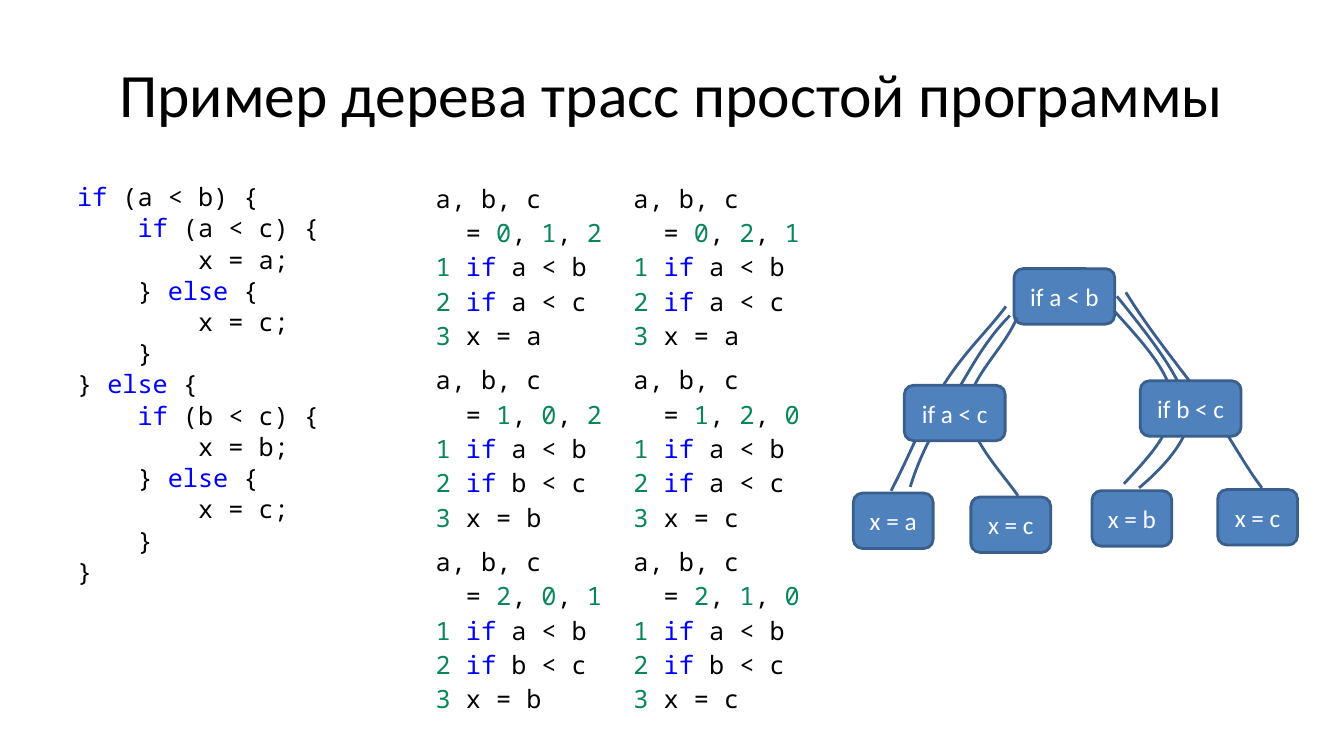
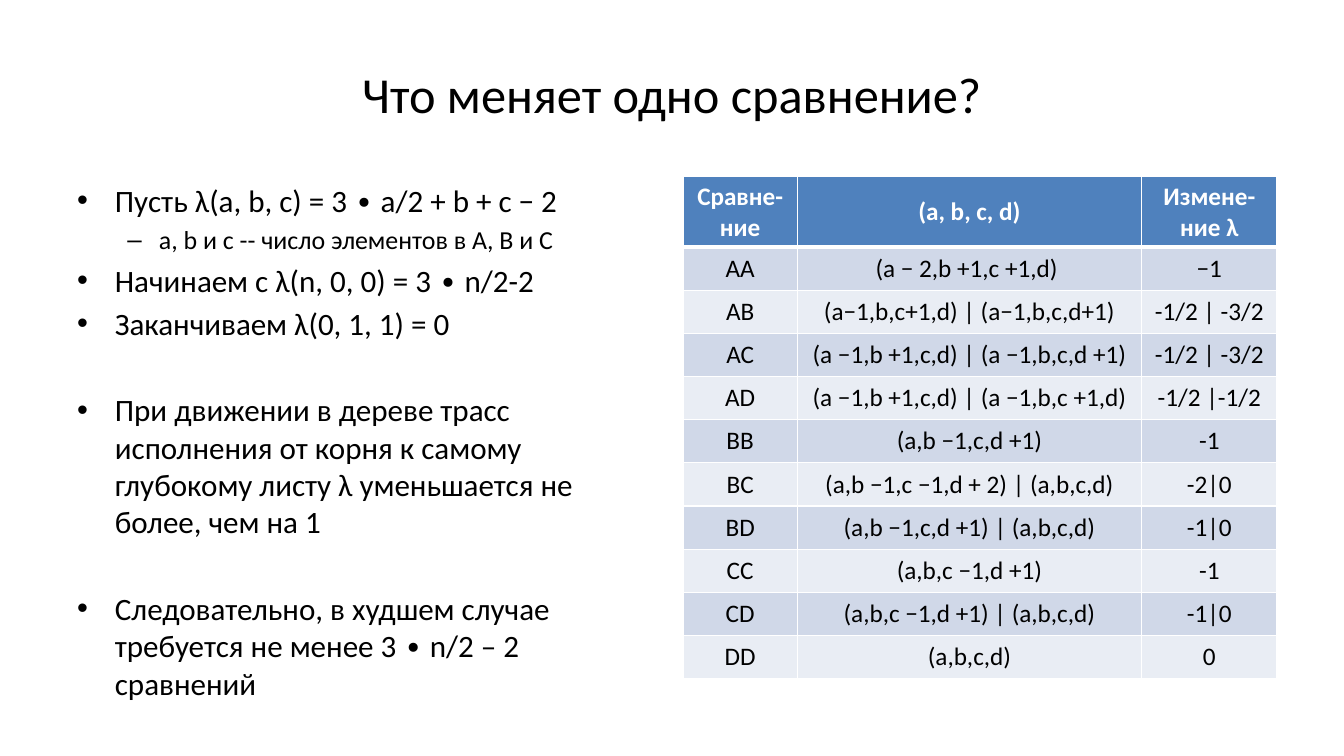
from itertools import groupby

from lxml import etree
from pptx import Presentation
from pptx.dml.color import RGBColor
from pptx.enum import shapes, text
from pptx.oxml import ns
from pptx.util import Pt

BLACK = RGBColor(0x00, 0x00, 0x00)
WHITE = RGBColor(0xFF, 0xFF, 0xFF)
KEYWORD = RGBColor(0x00, 0x00, 0xFF)
NUMBER = RGBColor(0x09, 0x86, 0x58)
ACCENT = RGBColor(0x4F, 0x81, 0xBD)
OUTLINE = RGBColor(0x3A, 0x5F, 0x8C)
BANDS = RGBColor(0xD0, 0xD8, 0xE8), RGBColor(0xE9, 0xED, 0xF4)
SANS, MONO = "Calibri", "Noto Sans Mono"
CENTER, MIDDLE = text.PP_ALIGN.CENTER, text.MSO_ANCHOR.MIDDLE
CONTENT_TOP = 126
BODY = (48, CONTENT_TOP, 424, 356.4)

# Slide 1 content
PROGRAM = """if (a < b) {
    if (a < c) {
        x = a;
    } else {
        x = c;
    }
} else {
    if (b < c) {
        x = b;
    } else {
        x = c;
    }
}""".split("\n")

# Input values, second comparison, result
TRACES = [
    [("0, 1, 2", "a < c", "a"), ("0, 2, 1", "a < c", "a")],
    [("1, 0, 2", "b < c", "b"), ("1, 2, 0", "a < c", "с")],
    [("2, 0, 1", "b < c", "b"), ("2, 1, 0", "b < c", "c")],
]
TRACE_COLUMN, TRACE_ROW = 141.3, 129.7

# Label, left, top, width
OUTER_NODES = [
    ("if a < b", 724.3, 191.9, 72),
    ("x = a", 609.5, 352.2, 57),
    ("x = c", 869.8, 349.7, 57),
    ("x = b", 780, 350.5, 57),
    ("x = c", 693.5, 355, 57),
]
INNER_NODES = [("if b < c", 814.5, 272, 72), ("if a < c", 646, 275.2, 72)]
NODE_HEIGHT = 39.6

# Each path through the tree: a start point, then cubic curves of three points
PATHS = [
    [(718.6, 218.9), (706.3, 235.4), (689.8, 250.6), (675.4, 272.9),
     (661.7, 294.5), (650.9, 323.3), (636.5, 350.6)],
    [(721.4, 225.4), (703.4, 243.4), (693.4, 263.5), (681.1, 283.7),
     (669.6, 303.8), (658.1, 321.8), (650.2, 347.8)],
    [(797.8, 211.7), (822.2, 241.9), (846.7, 272.9), (848.9, 295.2),
     (851.8, 318.2), (813.6, 348.5), (813.6, 348.5)],
    [(804.2, 208.8), (822.2, 238.3), (848.2, 269.3), (864.7, 292.3),
     (880.6, 315.4), (889.2, 332.6), (901.4, 348.5)],
    [(795.6, 221.8), (815.8, 244.1), (836.6, 266.4), (837.4, 286.6),
     (838.8, 307.4), (820.8, 326.2), (802.8, 345.6)],
    [(726.5, 226.8), (717.1, 249.8), (691.2, 270.7), (691.9, 292.3),
     (691.9, 313.2), (715.7, 337.7), (727.2, 354.2)],
]

# Slide 2 content: level, space before, text
POINTS = [
    (0, 0, "Пусть λ(a, b, c) = 3 ∙ a/2 + b + c − 2"),
    (1, 3.8, "a, b и c -- число элементов в A, B и C"),
    (0, 4.2, "Начинаем с λ(n, 0, 0) = 3 ∙ n/2-2"),
    (0, 4.2, "Заканчиваем λ(0, 1, 1) = 0"),
    (0, 35.3, "При движении в дереве трасс исполнения от корня к самому "
              "глубокому листу λ уменьшается не более, чем на 1"),
    (0, 35.3, "Следовательно, в худшем случае требуется не менее "
              "3 ∙ n/2 – 2 сравнений"),
]
# Bullet, left margin, hanging indent, size for each level
LEVELS = [("•", 27, 27, 22.2), ("–", 58.5, 22.5, 18.5)]

COMPARISONS = [
    ("Сравне-ние", "(a, b, c, d)", "Измене-ние λ"),
    ("АА", "(a − 2,b +1,c +1,d) ", "−1"),
    ("AB", "(a−1,b,c+1,d) | (a−1,b,c,d+1)", "-1/2 | -3/2"),
    ("AC", "(a −1,b +1,c,d) | (a −1,b,c,d +1)", "-1/2 | -3/2"),
    ("AD", "(a −1,b +1,c,d) | (a −1,b,c +1,d)", "-1/2 |-1/2"),
    ("BB", "(a,b −1,c,d +1)", "-1"),
    ("BC", "(a,b −1,c −1,d + 2) | (a,b,c,d)", "-2|0"),
    ("BD", "(a,b −1,c,d +1) | (a,b,c,d)", "-1|0"),
    ("CC", "(a,b,c −1,d +1)", "-1"),
    ("CD", "(a,b,c −1,d +1) | (a,b,c,d)", "-1|0"),
    ("DD", "(a,b,c,d)", "0"),
]
COMPARISON_COLUMNS = [81.4, 246.2, 96.5]
HEADER_ROW, COMPARISON_ROW = 49.4, 30.85


# Shared helpers
def add_run(paragraph, words, size, color=BLACK, font=SANS, bold=False):
    run = paragraph.add_run()
    run.text = words
    run.font.size = Pt(size)
    run.font.name = font
    run.font.bold = bold
    run.font.color.rgb = color


def next_paragraph(frame, index):
    return frame.add_paragraph() if index else frame.paragraphs[0]


def add_titled_slide(deck, title, size):
    slide = deck.slides.add_slide(deck.slide_layouts[5])
    heading = slide.shapes.title
    heading.left, heading.top = Pt(48), Pt(21.6)
    heading.width, heading.height = Pt(864), Pt(90)
    heading.text_frame.vertical_anchor = MIDDLE
    paragraph = heading.text_frame.paragraphs[0]
    paragraph.alignment = CENTER
    add_run(paragraph, title, size)
    return slide


def add_body(slide):
    frame = slide.shapes.add_textbox(*map(Pt, BODY)).text_frame
    frame.word_wrap = True
    return frame


def add_grid(slide, left, columns, rows):
    table = slide.shapes.add_table(
        len(rows), len(columns), Pt(left), Pt(CONTENT_TOP),
        Pt(sum(columns)), Pt(sum(rows))).table
    for column, width in zip(table.columns, columns):
        column.width = Pt(width)
    for row, height in zip(table.rows, rows):
        row.height = Pt(height)
    return table


# Code and traces
def token_color(token):
    if token in ("if", "else"):
        return KEYWORD
    return NUMBER if token.isdigit() else BLACK


def add_code_line(paragraph, line):
    tokens = ["".join(part) for _, part in groupby(line, str.isalnum)]
    for color, part in groupby(tokens, token_color):
        add_run(paragraph, "".join(part), 18, color, MONO)


def add_program(slide):
    frame = add_body(slide)
    for index, line in enumerate(PROGRAM):
        paragraph = next_paragraph(frame, index)
        paragraph.space_before = Pt(0.7 if index else 0)
        add_code_line(paragraph, line)


def add_traces(slide):
    table = add_grid(slide, 304, [TRACE_COLUMN] * 2, [TRACE_ROW] * len(TRACES))
    table.first_row = table.horz_banding = False
    for r, traces in enumerate(TRACES):
        for c, (values, comparison, result) in enumerate(traces):
            cell = table.cell(r, c)
            cell.fill.background()
            lines = ["a, b, c", f"  = {values}", "1 if a < b",
                     f"2 if {comparison}", f"3 x = {result}"]
            for index, line in enumerate(lines):
                add_code_line(next_paragraph(cell.text_frame, index), line)


# Trace tree
def outline(shape):
    shape.shadow.inherit = False
    shape.line.color.rgb = OUTLINE
    shape.line.width = Pt(2)


def add_node(slide, label, left, top, width):
    node = slide.shapes.add_shape(
        shapes.MSO_SHAPE.ROUNDED_RECTANGLE,
        Pt(left), Pt(top), Pt(width), Pt(NODE_HEIGHT))
    outline(node)
    node.fill.solid()
    node.fill.fore_color.rgb = ACCENT
    node.text_frame.vertical_anchor = MIDDLE
    paragraph = node.text_frame.paragraphs[0]
    paragraph.alignment = CENTER
    add_run(paragraph, label, 18, WHITE)


def add_path(slide, points):
    points = [(Pt(x), Pt(y)) for x, y in points]
    builder = slide.shapes.build_freeform(*points[0])
    builder.add_line_segments(points[3::3], close=False)
    route = builder.convert_to_shape()
    outline(route)
    route.fill.background()
    # Bend each straight segment into its cubic curve
    segments = route._element.xpath(".//a:lnTo")
    for index, segment in enumerate(segments):
        curve = etree.Element(ns.qn("a:cubicBezTo"))
        for x, y in points[3 * index + 1:3 * index + 4]:
            etree.SubElement(curve, ns.qn("a:pt"),
                             x=str(x - route.left), y=str(y - route.top))
        segment.getparent().replace(segment, curve)


def add_tree(slide):
    for node in OUTER_NODES:
        add_node(slide, *node)
    for points in PATHS:
        add_path(slide, points)
    for node in INNER_NODES:
        add_node(slide, *node)


# Bullets and comparison table
def add_points(slide):
    frame = add_body(slide)
    frame.margin_right = Pt(15)
    for index, (level, gap, words) in enumerate(POINTS):
        bullet, margin, hanging, size = LEVELS[level]
        paragraph = next_paragraph(frame, index)
        paragraph.level = level
        paragraph.space_before = Pt(gap)
        properties = paragraph._p.get_or_add_pPr()
        properties.set("marL", str(Pt(margin)))
        properties.set("indent", str(-Pt(hanging)))
        etree.SubElement(properties, ns.qn("a:buFont"), typeface="Arial")
        etree.SubElement(properties, ns.qn("a:buChar"), char=bullet)
        add_run(paragraph, words, size)


def add_borders(cell, bottom_width):
    properties = cell._tc.get_or_add_tcPr()
    for index, (side, width) in enumerate(
            [("L", 1), ("R", 1), ("T", 1), ("B", bottom_width)]):
        line = etree.Element(ns.qn(f"a:ln{side}"), w=str(Pt(width)))
        fill = etree.SubElement(line, ns.qn("a:solidFill"))
        etree.SubElement(fill, ns.qn("a:srgbClr"), val=str(WHITE))
        properties.insert(index, line)


def add_comparisons(slide):
    heights = [HEADER_ROW] + [COMPARISON_ROW] * (len(COMPARISONS) - 1)
    table = add_grid(slide, 488, COMPARISON_COLUMNS, heights)
    for r, row in enumerate(COMPARISONS):
        header = r == 0
        for c, words in enumerate(row):
            cell = table.cell(r, c)
            cell.fill.solid()
            cell.fill.fore_color.rgb = ACCENT if header else BANDS[(r - 1) % 2]
            cell.vertical_anchor = MIDDLE
            add_borders(cell, 3 if header else 1)
            paragraph = cell.text_frame.paragraphs[0]
            paragraph.alignment = CENTER
            add_run(paragraph, words, 18, WHITE if header else BLACK, bold=header)


def main():
    deck = Presentation()
    deck.slide_width, deck.slide_height = Pt(960), Pt(540)

    slide = add_titled_slide(deck, "Пример дерева трасс простой программы", 44)
    add_program(slide)
    add_traces(slide)
    add_tree(slide)

    slide = add_titled_slide(deck, "Что меняет одно сравнение?", 36)
    add_points(slide)
    add_comparisons(slide)

    deck.save("out.pptx")


if __name__ == "__main__":
    main()
